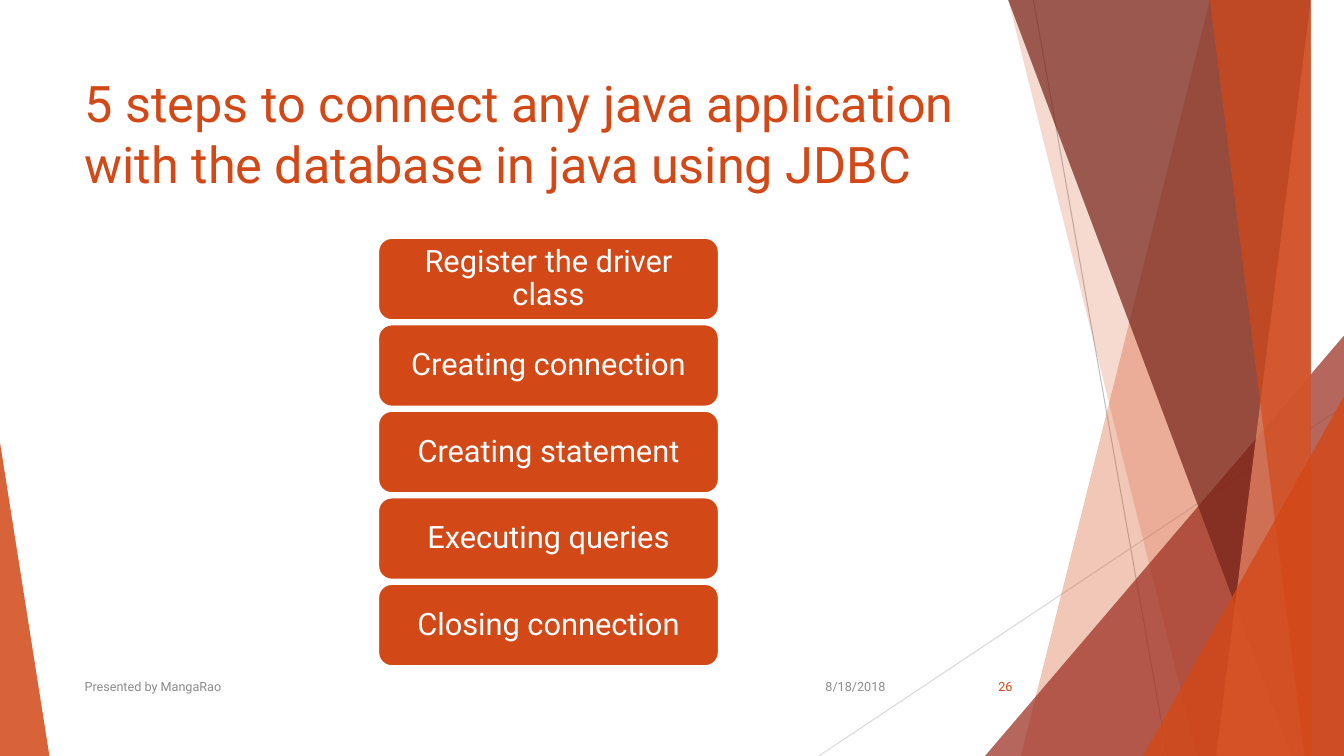
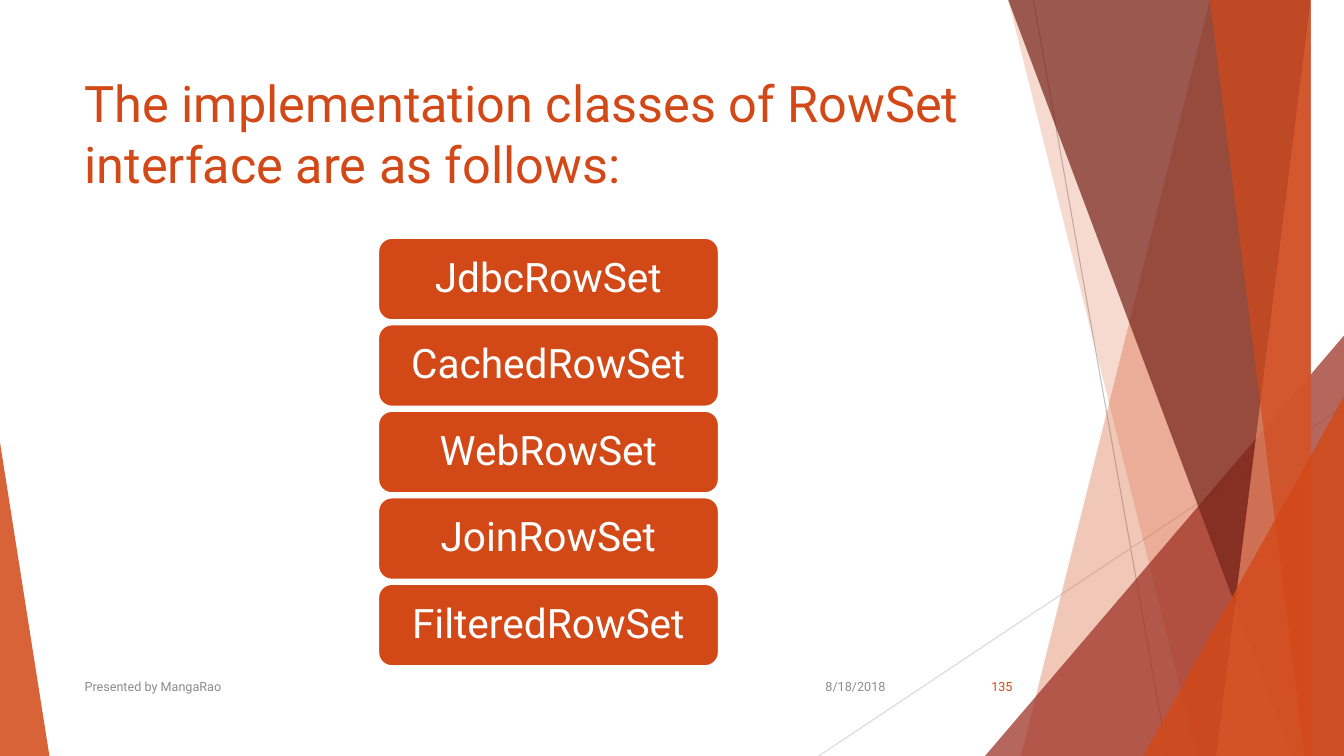
from collections import namedtuple

from lxml.etree import SubElement
from pptx import Presentation
from pptx.dml.color import RGBColor
from pptx.enum.shapes import MSO_CONNECTOR, MSO_SHAPE
from pptx.enum.text import MSO_ANCHOR, PP_ALIGN
from pptx.oxml.ns import qn
from pptx.util import Inches, Pt

Box = namedtuple("Box", "left top width height")

FONT = "Roboto"
COLORS = {
    "accent": "D34817",
    "brick": "9B2D1F",
    "maroon": "742217",
    "salmon": "EF8C6A",
    "white": "FFFFFF",
    "footer": "8C8C8C",
    "dark_rule": "BFBFBF",
    "light_rule": "D9D9D9",
}
PAGE = Box(0, 0, 13.33, 7.5)
TITLE = Box(0.74, 0.67, 9.4, 1.44)
STACK = Box(3.75, 2.36, 3.38, 4.25)
FOOTER = Box(TITLE.left, 6.61, TITLE.width, 0.4)
GAP_SHARE = 0.05

RULES = [
    ((10.25, 0), (11.58, 7.5), "dark_rule"),
    ((13.33, 4.03), (8.12, 7.5), "light_rule"),
]
BACK_BANDS = [(12.28, 10.04, "accent", 30), (10.5, 11.83, "accent", 20)]
FRONT_BANDS = [
    (10.21, 12.91, "maroon", 70),
    (13.03, 11.92, "salmon", 70),
    (11.96, 13.18, "accent", 65),
]
BACK_WEDGE = (9.77, 3.56, 4.17, 1, "brick", 72)
FRONT_WEDGES = [
    (11.34, 1.99, 3.57, 1, "accent", 80),
    (0, 0.49, 3.11, 0, "accent", 85),
]

SLIDES = [
    (
        "5 steps to connect any java application with the database in java using JDBC",
        ["Register the driver class", "Creating connection", "Creating statement",
         "Executing queries", "Closing connection"],
        22, 0.13, "26",
    ),
    (
        "The implementation classes of RowSet interface are as follows:",
        ["JdbcRowSet", "CachedRowSet", "WebRowSet", "JoinRowSet", "FilteredRowSet"],
        29, 0.16, "135",
    ),
]


def color(name):
    return RGBColor.from_string(COLORS[name])


def inches(box):
    return [Inches(length) for length in box]


def style_text(frame, size, color_name, align, anchor):
    frame.word_wrap = True
    frame.vertical_anchor = anchor
    paragraph = frame.paragraphs[0]
    paragraph.alignment = align
    paragraph.font.name = FONT
    paragraph.font.size = Pt(size)
    paragraph.font.color.rgb = color(color_name)
    return paragraph


def paint_facet(facet, color_name, opacity):
    facet.shadow.inherit = False
    facet.fill.solid()
    facet.fill.fore_color.rgb = color(color_name)
    facet.line.fill.background()
    tint = facet.element.spPr.find(".//" + qn("a:srgbClr"))
    SubElement(tint, qn("a:alpha"), val=str(opacity * 1000))


def add_rule(slide, start, end, color_name):
    rule = slide.shapes.add_connector(
        MSO_CONNECTOR.STRAIGHT, *inches(start), *inches(end))
    rule.line.color.rgb = color(color_name)
    rule.line.width = Pt(0.75)
    SubElement(rule.element.spPr, qn("a:effectLst"))


def add_band(slide, page, top_x, bottom_x, color_name, opacity):
    outline = slide.shapes.build_freeform(top_x, page.top, scale=Inches(1))
    outline.add_line_segments([
        (page.width, page.top), (page.width, page.height), (bottom_x, page.height)])
    paint_facet(outline.convert_to_shape(), color_name, opacity)


def add_wedge(slide, page, left, width, height, apex, color_name, opacity):
    wedge = slide.shapes.add_shape(
        MSO_SHAPE.ISOSCELES_TRIANGLE,
        *inches((left, page.height - height, width, height)))
    wedge.adjustments[0] = apex
    paint_facet(wedge, color_name, opacity)


def add_facets(slide, page):
    for rule in RULES:
        add_rule(slide, *rule)
    for band in BACK_BANDS:
        add_band(slide, page, *band)
    add_wedge(slide, page, *BACK_WEDGE)
    for band in FRONT_BANDS:
        add_band(slide, page, *band)
    for wedge in FRONT_WEDGES:
        add_wedge(slide, page, *wedge)


def set_title(slide, box, heading):
    title = slide.shapes.title
    title.left, title.top, title.width, title.height = inches(box)
    title.text_frame.text = heading
    style_text(title.text_frame, 36, "accent", PP_ALIGN.LEFT, MSO_ANCHOR.TOP)


def add_stack(slide, box, steps, size, inset):
    step_height = box.height / (len(steps) + (len(steps) - 1) * GAP_SHARE)
    pitch = step_height * (1 + GAP_SHARE)
    for row, step in enumerate(steps):
        tile = slide.shapes.add_shape(
            MSO_SHAPE.ROUNDED_RECTANGLE,
            *inches((box.left, box.top + row * pitch, box.width, step_height)))
        tile.shadow.inherit = False
        tile.fill.solid()
        tile.fill.fore_color.rgb = color("accent")
        tile.line.color.rgb = color("white")
        tile.line.width = Pt(1.5)
        frame = tile.text_frame
        frame.text = step
        frame.margin_left = frame.margin_right = Inches(inset)
        frame.margin_top = frame.margin_bottom = Inches(0.05)
        label = style_text(frame, size, "white", PP_ALIGN.CENTER, MSO_ANCHOR.MIDDLE)
        label.line_spacing = 0.9


def add_footer(slide, box, number):
    right = box.left + box.width
    entries = [
        ("8/18/2018", 7.88, 1, "footer", PP_ALIGN.RIGHT),
        ("Presented by MangaRao", box.left, 6.89, "footer", PP_ALIGN.LEFT),
        (number, right - 0.75, 0.75, "accent", PP_ALIGN.RIGHT),
    ]
    for text, left, width, color_name, align in entries:
        entry = slide.shapes.add_textbox(*inches((left, box.top, width, box.height)))
        entry.text_frame.text = text
        style_text(entry.text_frame, 9, color_name, align, MSO_ANCHOR.MIDDLE)


def add_stack_slide(deck, heading, steps, size, inset, number):
    slide = deck.slides.add_slide(deck.slide_layouts[5])
    add_facets(slide, PAGE)
    set_title(slide, TITLE, heading)
    add_stack(slide, STACK, steps, size, inset)
    add_footer(slide, FOOTER, number)


deck = Presentation()
deck.slide_width, deck.slide_height = Inches(PAGE.width), Inches(PAGE.height)
for content in SLIDES:
    add_stack_slide(deck, *content)
deck.save("out.pptx")
